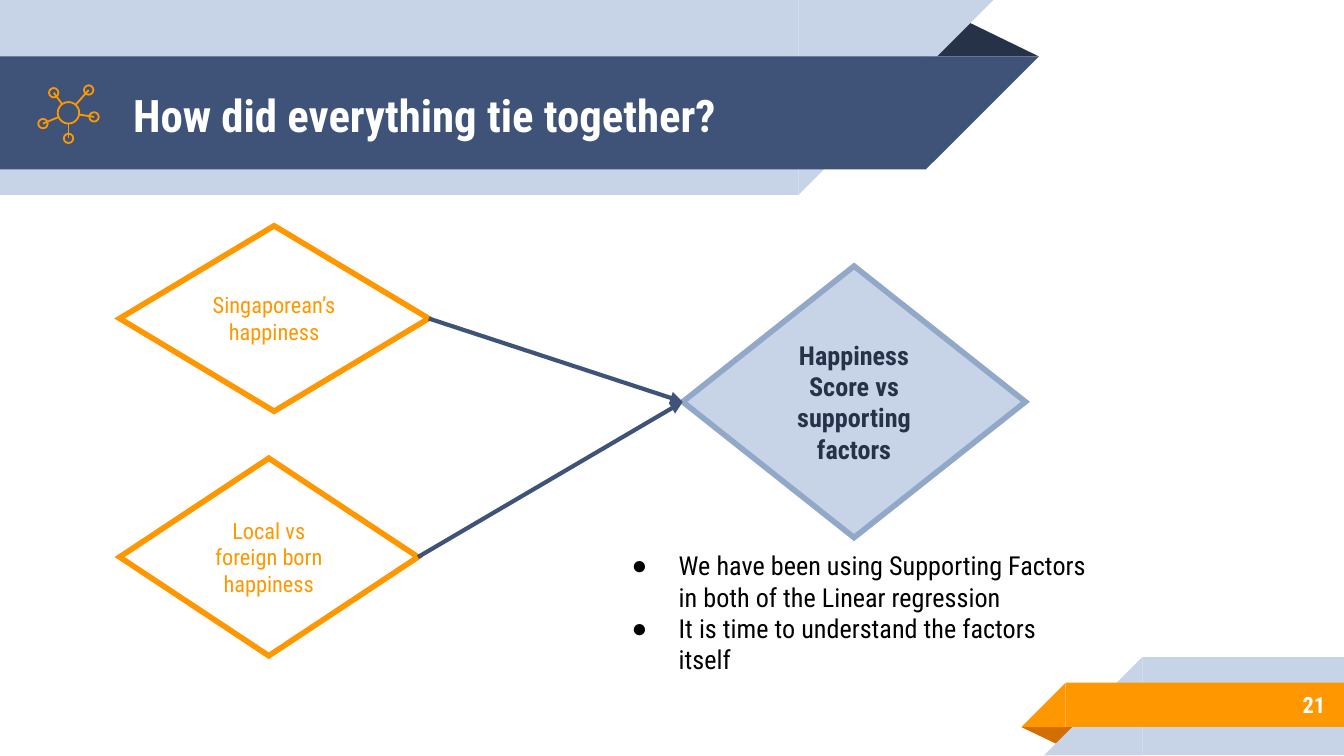
from dataclasses import dataclass
from math import hypot
from typing import Optional

from lxml import etree
from pptx import Presentation
from pptx.dml import color
from pptx.enum import shapes, text
from pptx.oxml import ns
from pptx.util import Inches, Pt

COLORS = {
    "pale": "C7D3E6", "navy": "3F5378", "dark": "263248", "steel": "92A8C8",
    "orange": "FF9800", "rust": "D26F00", "white": "FFFFFF", "black": "000000",
}
FONT = "Roboto Condensed"
KIND = shapes.MSO_SHAPE
LEFT, CENTER, RIGHT = text.PP_ALIGN.LEFT, text.PP_ALIGN.CENTER, text.PP_ALIGN.RIGHT
TOP, MIDDLE = text.MSO_ANCHOR.TOP, text.MSO_ANCHOR.MIDDLE


@dataclass
class Box:
    left: float
    top: float
    width: float
    height: float

    def lengths(self) -> list:
        return [Inches(v) for v in (self.left, self.top, self.width, self.height)]


@dataclass
class Part:
    kind: int
    box: Box
    fill: Optional[str] = None
    line: Optional[str] = None
    weight: float = 0
    turn: float = 0


@dataclass
class TextStyle:
    size: float
    color: str
    bold: bool = False
    align: int = LEFT
    anchor: int = MIDDLE


@dataclass
class Diamond:
    box: Box
    words: str
    style: TextStyle
    line: str
    fill: Optional[str] = None


def rgb(name: str) -> color.RGBColor:
    return color.RGBColor.from_string(COLORS[name])


def set_all(target, values: dict) -> None:
    for name, value in values.items():
        setattr(target, name, value)


def draw_part(page, part: Part):
    shape = page.shapes.add_shape(part.kind, *part.box.lengths())
    shape.shadow.inherit = False
    shape.rotation = part.turn
    if part.fill:
        shape.fill.solid()
        shape.fill.fore_color.rgb = rgb(part.fill)
    else:
        shape.fill.background()
    if part.line:
        shape.line.color.rgb = rgb(part.line)
        shape.line.width = Pt(part.weight)
    else:
        shape.line.fill.background()
    return shape


def write(shape, lines: list[str], style: TextStyle) -> None:
    frame = shape.text_frame
    margins = {f"margin_{side}": Inches(0.1) for side in ("left", "top", "right", "bottom")}
    set_all(frame, {"word_wrap": True, "auto_size": text.MSO_AUTO_SIZE.NONE,
                    "vertical_anchor": style.anchor, **margins})
    frame.text = "\n".join(lines)
    for para in frame.paragraphs:
        set_all(para, {"alignment": style.align, "space_before": Pt(0)})
        for span in para.runs:
            set_all(span.font, {"name": FONT, "size": Pt(style.size), "bold": style.bold})
            span.font.color.rgb = rgb(style.color)


def place(shape, box: Box) -> None:
    """Position a placeholder and bring it in front of the bands."""
    set_all(shape, dict(zip(("left", "top", "width", "height"), box.lengths())))
    shape.element.getparent().append(shape.element)


def add_bullets(shape) -> None:
    for para in shape.text_frame.paragraphs:
        props = para._p.get_or_add_pPr()
        props.set("marL", str(Inches(0.5)))
        props.set("indent", str(Inches(-0.35)))
        etree.SubElement(props, ns.qn("a:buChar")).set("char", "●")


def draw_line(page, start: tuple, end: tuple, line: str, weight: float):
    link = page.shapes.add_connector(
        shapes.MSO_CONNECTOR.STRAIGHT, *(Inches(v) for v in (*start, *end)))
    link.line.color.rgb = rgb(line)
    link.line.width = Pt(weight)
    etree.SubElement(link.element.spPr, ns.qn("a:effectLst"))
    return link


def draw_arrow(page, source, target) -> None:
    link = draw_line(page, (0, 0), (1, 1), "navy", 2.25)
    link.begin_connect(source, 3)
    link.end_connect(target, 1)
    etree.SubElement(link.line._get_or_add_ln(), ns.qn("a:tailEnd")).set("type", "triangle")


def draw_diamond(page, diamond: Diamond):
    shape = draw_part(page, Part(KIND.DIAMOND, diamond.box, diamond.fill, diamond.line, 3))
    corner = etree.SubElement(shape.line._get_or_add_ln(), ns.qn("a:miter"))
    corner.set("lim", "800000")
    write(shape, [diamond.words], diamond.style)
    return shape


def draw_ring(page, center: tuple, radius: float) -> None:
    x, y = center
    box = Box(x - radius, y - radius, 2 * radius, 2 * radius)
    draw_part(page, Part(KIND.OVAL, box, line="orange", weight=0.96))


def draw_network(page, hub: tuple, hub_radius: float, nodes: list[tuple]) -> None:
    draw_ring(page, hub, hub_radius)
    for node in nodes:
        draw_ring(page, node, 0.035)
        dx, dy = node[0] - hub[0], node[1] - hub[1]
        reach = hub_radius / hypot(dx, dy)
        draw_line(page, node, (hub[0] + dx * reach, hub[1] + dy * reach), "orange", 0.96)


def draw_fold(page, box: Box, fill: str, turn: float) -> None:
    fold = draw_part(page, Part(KIND.ISOSCELES_TRIANGLE, box, fill, turn=turn))
    fold.adjustments[0] = 0.324


def draw_band(page, box: Box, fill: str, slant_on_right: bool) -> None:
    """A bar with a slanted end as wide as the bar is high."""
    side = box.height
    left = box.left + box.width if slant_on_right else box.left - side
    turn = 180 if slant_on_right else 0
    for kind, area in [(KIND.RECTANGLE, box),
                       (KIND.RIGHT_TRIANGLE, Box(left, box.top, side, side))]:
        shape = draw_part(page, Part(kind, area, fill, turn=turn))
        shape.element.spPr.xfrm.set("flipH", "1")


def main() -> None:
    deck = Presentation()
    deck.slide_width = Inches(10)
    deck.slide_height = deck.slide_width * 9 // 16
    page = deck.slides.add_slide(deck.slide_layouts[1])

    # Header and footer ribbons
    draw_fold(page, Box(6.88, 0.14, 0.85, 0.28), "dark", 0)
    draw_band(page, Box(0, 0, 5.94, 1.45), "pale", True)
    draw_band(page, Box(0, 0.42, 6.89, 0.84), "navy", True)
    draw_fold(page, Box(7.6, 5.41, 0.43, 0.14), "rust", 180)
    draw_band(page, Box(8.5, 4.89, 1.5, 0.73), "pale", False)
    draw_band(page, Box(7.93, 5.08, 2.08, 0.33), "orange", False)

    # Title and page number
    title = page.shapes.title
    place(title, Box(0.89, 0.43, 5.75, 0.84))
    write(title, ["How did everything tie together?"], TextStyle(24, "white", True))
    number = page.shapes.add_textbox(*Box(8.33, 5.07, 1.63, 0.35).lengths())
    write(number, ["21"], TextStyle(12, "white", True, RIGHT))

    # Network icon
    draw_network(page, (0.51, 0.84), 0.08,
                 [(0.66, 0.67), (0.4, 0.69), (0.32, 0.92), (0.51, 1.03), (0.7, 0.87)])

    # Bullet list
    body = page.placeholders[1]
    place(body, Box(4.45, 3.99, 3.79, 1.26))
    write(body, ["We have been using Supporting Factors in both of the Linear regression",
                 "It is time to understand the factors itself"],
          TextStyle(14, "black", anchor=TOP))
    add_bullets(body)

    # Diamonds and the arrows that join them
    small = TextStyle(12, "orange", align=CENTER)
    score = draw_diamond(page, Diamond(
        Box(5.08, 1.98, 2.55, 2.02), "Happiness Score vs supporting factors",
        TextStyle(14, "dark", True, CENTER), "steel", "pale"))
    for box, words in [(Box(0.89, 3.41, 2.22, 1.47), "Local vs foreign born happiness"),
                       (Box(0.89, 1.68, 2.3, 1.38), "Singaporean’s happiness")]:
        draw_arrow(page, draw_diamond(page, Diamond(box, words, small, "orange")), score)

    deck.save("out.pptx")


if __name__ == "__main__":
    main()
